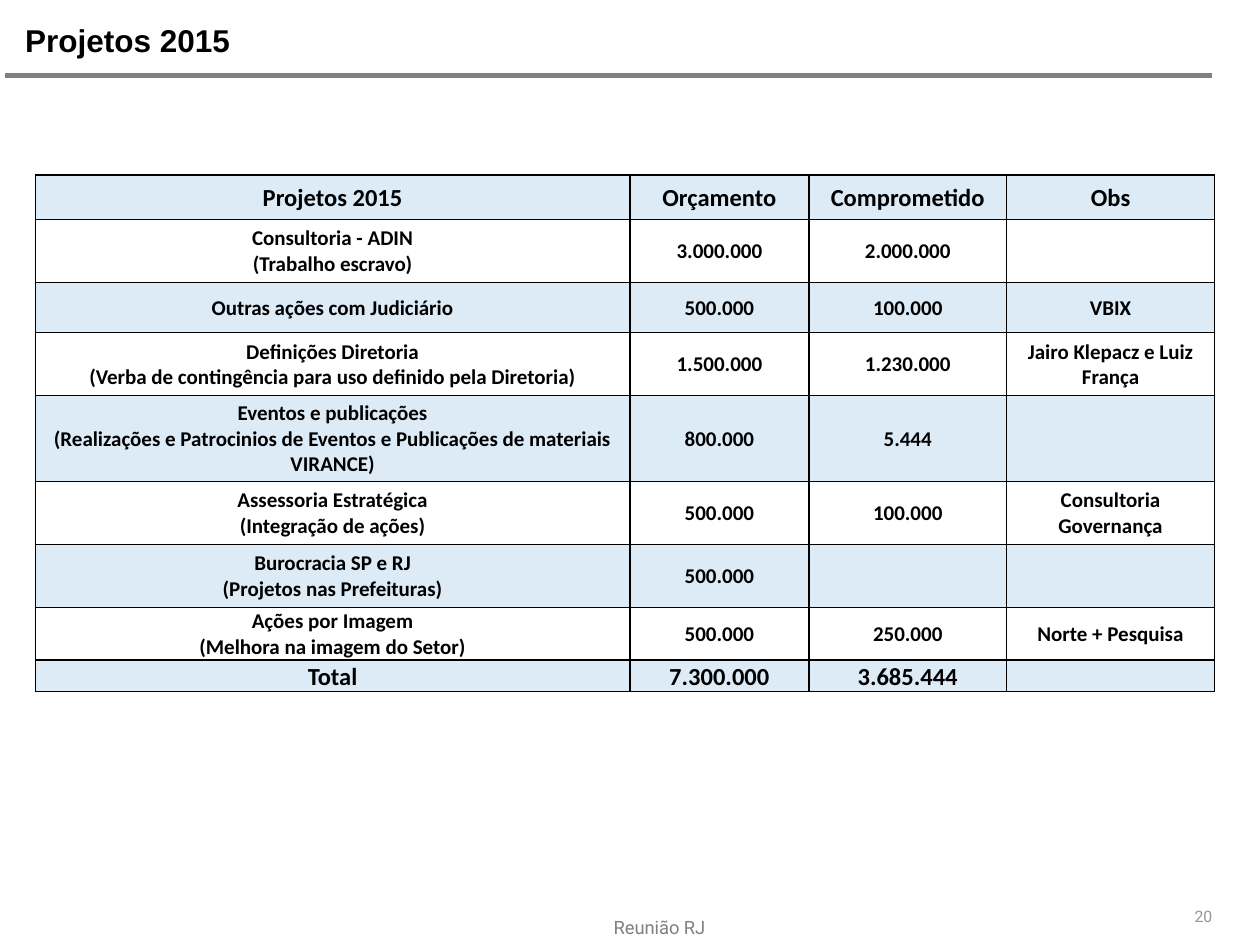
import pptx
import pptx.chart.data
import pptx.dml.color
import pptx.enum.shapes
import pptx.enum.text
import pptx.oxml
import pptx.oxml.ns
import pptx.util
from lxml import etree

Inches, Pt = pptx.util.Inches, pptx.util.Pt
Align = pptx.enum.text.PP_ALIGN
Anchor = pptx.enum.text.MSO_ANCHOR

COLORS = {"ink": "000000", "rule": "808080", "page": "969696",
          "band": "DDEBF7", "plain": "FFFFFF"}
COLS = [4.72, 1.42, 1.57, 1.65]
ROWS = [
    (0.35, ["Projetos 2015", "Orçamento", "Comprometido", "Obs"]),
    (0.5, ["Consultoria - ADIN\n(Trabalho escravo)", "3.000.000", "2.000.000", ""]),
    (0.4, ["Outras ações com Judiciário", "500.000", "100.000", "VBIX"]),
    (0.5, ["Definições Diretoria\n(Verba de contingência para uso definido pela Diretoria)",
           "1.500.000", "1.230.000", "Jairo Klepacz e Luiz França"]),
    (0.68, ["Eventos e publicações\n(Realizações e Patrocinios de Eventos e "
            "Publicações de materiais VIRANCE)", "800.000", "5.444", ""]),
    (0.5, ["Assessoria Estratégica\n(Integração de ações)",
           "500.000", "100.000", "Consultoria Governança"]),
    (0.5, ["Burocracia SP e RJ\n(Projetos nas Prefeituras)", "500.000", "", ""]),
    (0.42, ["Ações por Imagem\n(Melhora na imagem do Setor)",
            "500.000", "250.000", "Norte + Pesquisa"]),
    (0.25, ["Total", "7.300.000", "3.685.444", ""]),
]


def rgb(name):
    return pptx.dml.color.RGBColor.from_string(COLORS[name])


def write(frame, text, size=12, font="Calibri", color="ink", bold=False, align=Align.LEFT):
    frame.word_wrap = True
    frame.text = text
    for para in frame.paragraphs:
        para.alignment = align
        for run in para.runs:
            run.font.size = Pt(size)
            run.font.name = font
            run.font.bold = bold
            run.font.color.rgb = rgb(color)
        if not para.runs:  # an empty cell must not stretch its row
            end = etree.SubElement(para._p, pptx.oxml.ns.qn("a:endParaRPr"))
            end.set("sz", str(size * 100))


def label(slide, box, text, pad=(0, 0), **form):
    frame = slide.shapes.add_textbox(*map(Inches, box)).text_frame
    frame.margin_left = frame.margin_right = Inches(pad[0])
    frame.margin_top = frame.margin_bottom = Inches(pad[1])
    write(frame, text, **form)


def border(cell):
    props = cell._tc.get_or_add_tcPr()
    for i, side in enumerate(("lnL", "lnR", "lnT", "lnB")):
        props.insert(i, pptx.oxml.parse_xml(
            f'<a:{side} {pptx.oxml.ns.nsdecls("a")} w="12700"><a:solidFill>'
            f'<a:srgbClr val="{COLORS["ink"]}"/></a:solidFill></a:{side}>'))


def budget(slide):
    heights = [height for height, _ in ROWS]
    table = slide.shapes.add_table(
        len(ROWS), len(COLS), Inches(0.28), Inches(1.39),
        Inches(sum(COLS)), Inches(sum(heights))).table
    for col, width in zip(table.columns, COLS):
        col.width = Inches(width)
    for r, (height, texts) in enumerate(ROWS):
        table.rows[r].height = Inches(height)
        for c, text in enumerate(texts):
            cell = table.cell(r, c)
            cell.fill.solid()
            cell.fill.fore_color.rgb = rgb("plain" if r % 2 else "band")
            cell.vertical_anchor = Anchor.MIDDLE
            cell.margin_left = cell.margin_right = cell.margin_top = Inches(0.01)
            cell.margin_bottom = 0
            size = 14 if r in (0, len(ROWS) - 1) else 12
            write(cell.text_frame, text, size=size, bold=True, align=Align.CENTER)
            border(cell)


def main():
    deck = pptx.Presentation()
    deck.slide_width, deck.slide_height = Inches(10), Inches(7.5)
    slide = deck.slides.add_slide(deck.slide_layouts[6])

    rule = slide.shapes.add_connector(
        pptx.enum.shapes.MSO_CONNECTOR.STRAIGHT,
        Inches(0.04), Inches(0.6), Inches(9.62), Inches(0.6))
    rule.line.color.rgb = rgb("rule")
    rule.line.width = Pt(3.2)
    etree.SubElement(rule._element.spPr, pptx.oxml.ns.qn("a:effectLst"))

    label(slide, (0.2, 0.17, 9.51, 0.35), "Projetos 2015", size=18, font="Arial", bold=True)
    budget(slide)
    foot = {"pad": (0.1, 0.06), "font": "Roboto"}
    label(slide, (7.99, 7.14, 1.73, 0.26), "20", size=9, color="page",
          align=Align.RIGHT, **foot)
    label(slide, (4.37, 7.21, 1.73, 0.29), "Reunião RJ", size=10.5, color="rule",
          align=Align.CENTER, **foot)
    deck.save("out.pptx")


if __name__ == "__main__":
    main()
